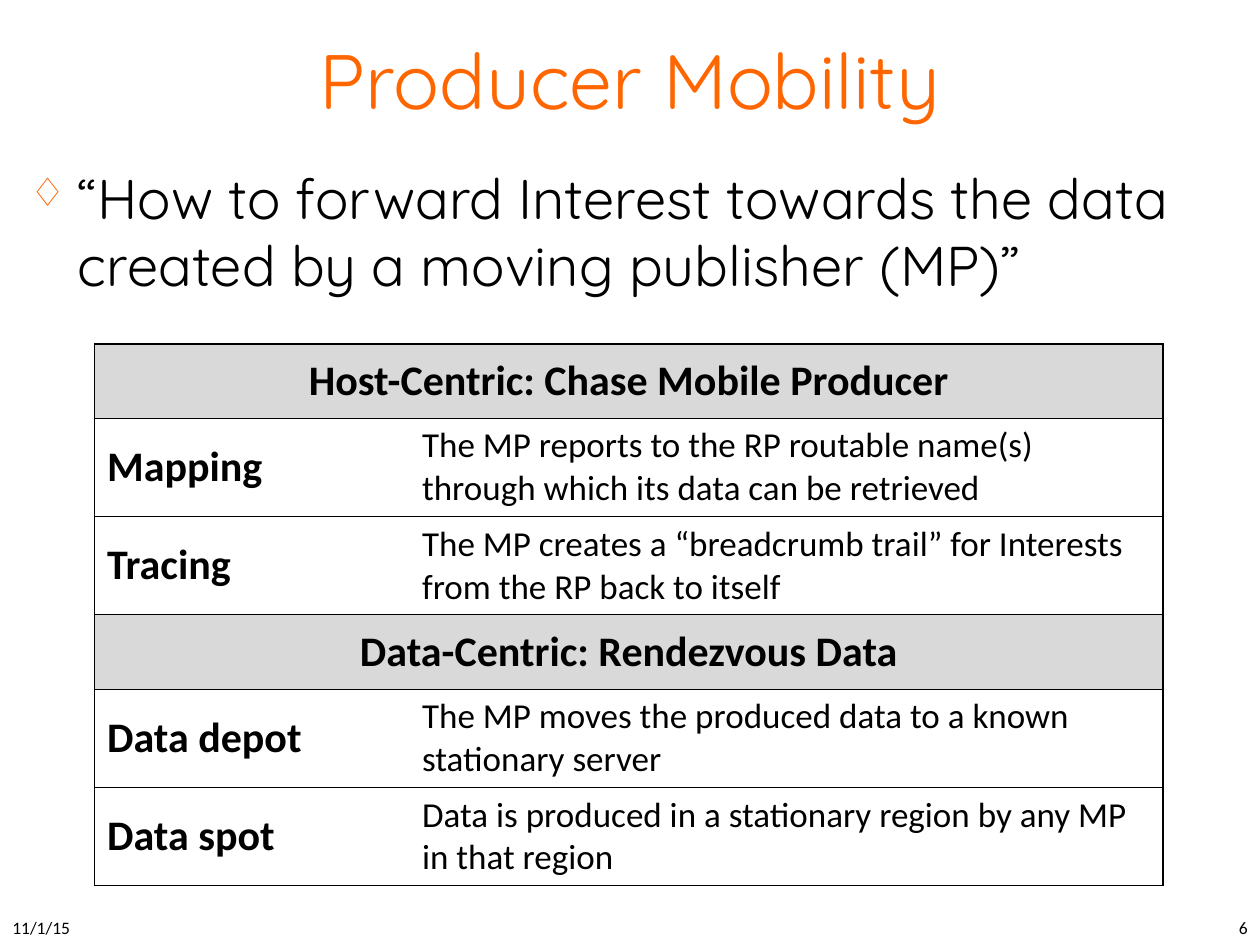
"""Build the Producer Mobility slide with its comparison table."""
import pptx
import pptx.util
import pptx.dml.color
import pptx.enum.text
import pptx.oxml.ns
import lxml.etree

Inches = pptx.util.Inches
Pt = pptx.util.Pt
Align = pptx.enum.text.PP_ALIGN
Anchor = pptx.enum.text.MSO_ANCHOR
qn = pptx.oxml.ns.qn

theme = {
    "ink": "000000", "accent": "FF6600", "band": "D9D9D9",
    "display": "Quicksand", "plain": "Calibri",
    "title": 44, "body": 32, "label": 24, "detail": 20, "small": 10,
    "line": 0.75,
}


def write(frame, text, font, size, color="ink", align=Align.LEFT, bold=False):
    frame.word_wrap = True
    frame.text = text
    para = frame.paragraphs[0]
    para.alignment = align
    face = para.runs[0].font
    face.name = theme[font]
    face.size = Pt(theme[size])
    face.bold = bold
    face.color.rgb = pptx.dml.color.RGBColor.from_string(theme[color])
    return para


def edge(cell, hidden):
    props = cell._tc.get_or_add_tcPr()
    for side in "LRTB":
        line = lxml.etree.SubElement(props, qn(f"a:ln{side}"), w=str(Pt(theme["line"])))
        if side == hidden:
            lxml.etree.SubElement(line, qn("a:noFill"))
        else:
            fill = lxml.etree.SubElement(line, qn("a:solidFill"))
            lxml.etree.SubElement(fill, qn("a:srgbClr"), val=theme["ink"])


deck = pptx.Presentation()
deck.slide_width, deck.slide_height = Inches(10), Inches(7.5)
slide = deck.slides.add_slide(deck.slide_layouts[6])

texts = [
    ((0, 0, 10, 1.25), Anchor.MIDDLE,
     ("Producer Mobility", "display", "title", "accent", Align.CENTER)),
    ((0, 7.23, 0.83, 0.27), Anchor.MIDDLE, ("11/1/15", "plain", "small")),
    ((9.48, 7.23, 0.52, 0.27), Anchor.MIDDLE,
     ("6", "plain", "small", "ink", Align.RIGHT)),
    ((0.14, 1.25, 9.73, 1.4), Anchor.TOP,
     ("“How to forward Interest towards the data created by a moving publisher (MP)”",
      "display", "body")),
]
for place, anchor, style in texts:
    box = slide.shapes.add_textbox(*map(Inches, place))
    box.text_frame.vertical_anchor = anchor
    para = write(box.text_frame, *style)

para.space_before = para.space_after = Pt(8)
props = para._p.get_or_add_pPr()
props.set("marL", str(Inches(0.38)))
props.set("indent", str(Inches(-0.42)))
tint = lxml.etree.SubElement(props, qn("a:buClr"))
lxml.etree.SubElement(tint, qn("a:srgbClr"), val=theme["accent"])
lxml.etree.SubElement(props, qn("a:buSzPct"), val="70000")
lxml.etree.SubElement(props, qn("a:buChar"), char="♢")

rows = [
    ("Host-Centric: Chase Mobile Producer",),
    ("Mapping", "The MP reports to the RP routable name(s) through which its data can be retrieved"),
    ("Tracing", "The MP creates a “breadcrumb trail” for Interests from the RP back to itself"),
    ("Data-Centric: Rendezvous Data",),
    ("Data depot", "The MP moves the produced data to a known stationary server"),
    ("Data spot", "Data is produced in a stationary region by any MP in that region"),
]
frame = slide.shapes.add_table(
    len(rows), 2, Inches(0.75), Inches(2.73), Inches(8.48), Inches(4.3))
table = frame.table
table.first_row = table.horz_banding = False
for col, width in zip(table.columns, (2.5, 5.98)):
    col.width = Inches(width)

for r, row in enumerate(rows):
    head = len(row) == 1
    table.rows[r].height = Inches(0.59 if head else 0.78)
    for c, hidden in enumerate("RL"):
        cell = table.cell(r, c)
        edge(cell, None if head else hidden)
        if head:
            cell.fill.solid()
            cell.fill.fore_color.rgb = pptx.dml.color.RGBColor.from_string(theme["band"])
        else:
            cell.fill.background()
    if head:
        table.cell(r, 0).merge(table.cell(r, 1))
    for c, text in enumerate(row):
        cell = table.cell(r, c)
        cell.vertical_anchor = Anchor.TOP if c else Anchor.MIDDLE
        write(cell.text_frame, text, "plain", "detail" if c else "label",
              align=Align.CENTER if head else Align.LEFT, bold=c == 0)

deck.save("out.pptx")
